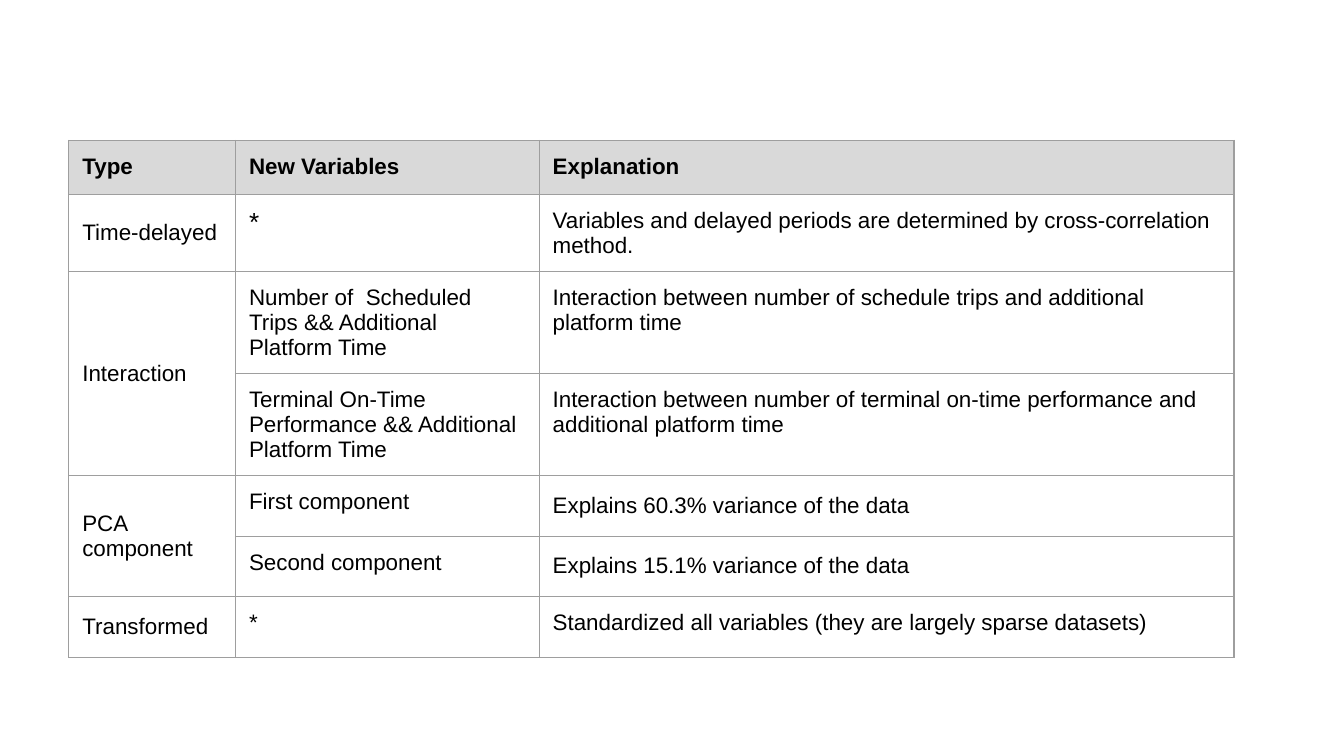
from dataclasses import dataclass

from lxml import etree
from pptx import Presentation
from pptx import util as u
from pptx.dml import color
from pptx.enum import text
from pptx.oxml import ns
from pptx.table import Table, _Cell

COLORS = {"text": "000000", "header": "D9D9D9", "border": "9E9E9E"}
FONT = "Arial"
INSET = u.Pt(7.2)
BORDER_WIDTH = u.Pt(0.75)
COLUMN_WIDTHS = [89.3, 162.7, 372.2]
ROW_HEIGHTS = [28.8, 30.2, 30.2, 32.4, 32.4, 32.4, 32.4]
NO_STYLE = "{2D5ABB26-0587-4C30-8999-92F81FD0307C}"


@dataclass(frozen=True)
class Entry:
    words: str
    size: float = 12
    spacing: float | None = None


@dataclass(frozen=True)
class Group:
    """A variable type and its rows of (new variable, explanation)."""
    name: str
    rows: list[tuple[Entry, Entry]]


HEADINGS = ["Type", "New Variables", "Explanation"]
GROUPS = [
    Group("Time-delayed", [
        (Entry("*", size=14),
         Entry("Variables and delayed periods are determined by cross-correlation method.")),
    ]),
    Group("Interaction", [
        (Entry("Number of  Scheduled Trips && Additional Platform Time"),
         Entry("Interaction between number of schedule trips and additional platform time")),
        (Entry("Terminal On-Time Performance && Additional Platform Time"),
         Entry("Interaction between number of terminal on-time performance "
               "and additional platform time")),
    ]),
    Group("PCA component", [
        (Entry("First component"),
         Entry("Explains 60.3% variance of the data", spacing=1.15)),
        (Entry("Second component"),
         Entry("Explains 15.1% variance of the data", spacing=1.15)),
    ]),
    Group("Transformed", [
        (Entry("*"),
         Entry("Standardized all variables (they are largely sparse datasets)")),
    ]),
]


def style_cell(cell: _Cell) -> None:
    """Give the cell its insets and a thin border on every side."""
    cell.margin_left = cell.margin_right = INSET
    cell.margin_top = cell.margin_bottom = INSET
    properties = cell._tc.get_or_add_tcPr()
    for side in ("a:lnL", "a:lnR", "a:lnT", "a:lnB"):
        line = etree.SubElement(properties, ns.qn(side), w=str(BORDER_WIDTH))
        fill = etree.SubElement(line, ns.qn("a:solidFill"))
        etree.SubElement(fill, ns.qn("a:srgbClr"), val=COLORS["border"])
    cell.fill.background()


def write_cell(cell: _Cell, entry: Entry, bold: bool = False) -> None:
    para = cell.text_frame.paragraphs[0]
    para.text = entry.words
    para.line_spacing = entry.spacing
    para.font.name = FONT
    para.font.size = u.Pt(entry.size)
    para.font.bold = bold
    para.font.color.rgb = color.RGBColor.from_string(COLORS["text"])


def write_header(table: Table) -> None:
    for column, heading in enumerate(HEADINGS):
        cell = table.cell(0, column)
        write_cell(cell, Entry(heading), bold=True)
        cell.fill.solid()
        cell.fill.fore_color.rgb = color.RGBColor.from_string(COLORS["header"])


def write_group(table: Table, group: Group, first: int) -> int:
    """Fill the group's rows and return the index of the row after them."""
    following = first + len(group.rows)
    name_cell = table.cell(first, 0)
    if len(group.rows) > 1:
        name_cell.merge(table.cell(following - 1, 0))
    write_cell(name_cell, Entry(group.name))
    name_cell.vertical_anchor = text.MSO_ANCHOR.MIDDLE
    for row, entries in enumerate(group.rows, first):
        for column, entry in enumerate(entries, 1):
            write_cell(table.cell(row, column), entry)
    return following


def main() -> None:
    deck = Presentation()
    deck.slide_width, deck.slide_height = u.Pt(720), u.Pt(405)
    page = deck.slides.add_slide(deck.slide_layouts[6])
    frame = page.shapes.add_table(
        len(ROW_HEIGHTS), len(COLUMN_WIDTHS), u.Pt(36.9), u.Pt(75.3),
        u.Pt(sum(COLUMN_WIDTHS)), u.Pt(sum(ROW_HEIGHTS)))
    table = frame.table
    table.horz_banding = False
    table._tbl.tblPr.find(ns.qn("a:tableStyleId")).text = NO_STYLE
    for column, width in zip(table.columns, COLUMN_WIDTHS):
        column.width = u.Pt(width)
    for row, height in zip(table.rows, ROW_HEIGHTS):
        row.height = u.Pt(height)
    for cell in table.iter_cells():
        style_cell(cell)
    write_header(table)
    following = 1
    for group in GROUPS:
        following = write_group(table, group, following)
    deck.save("out.pptx")


if __name__ == "__main__":
    main()
